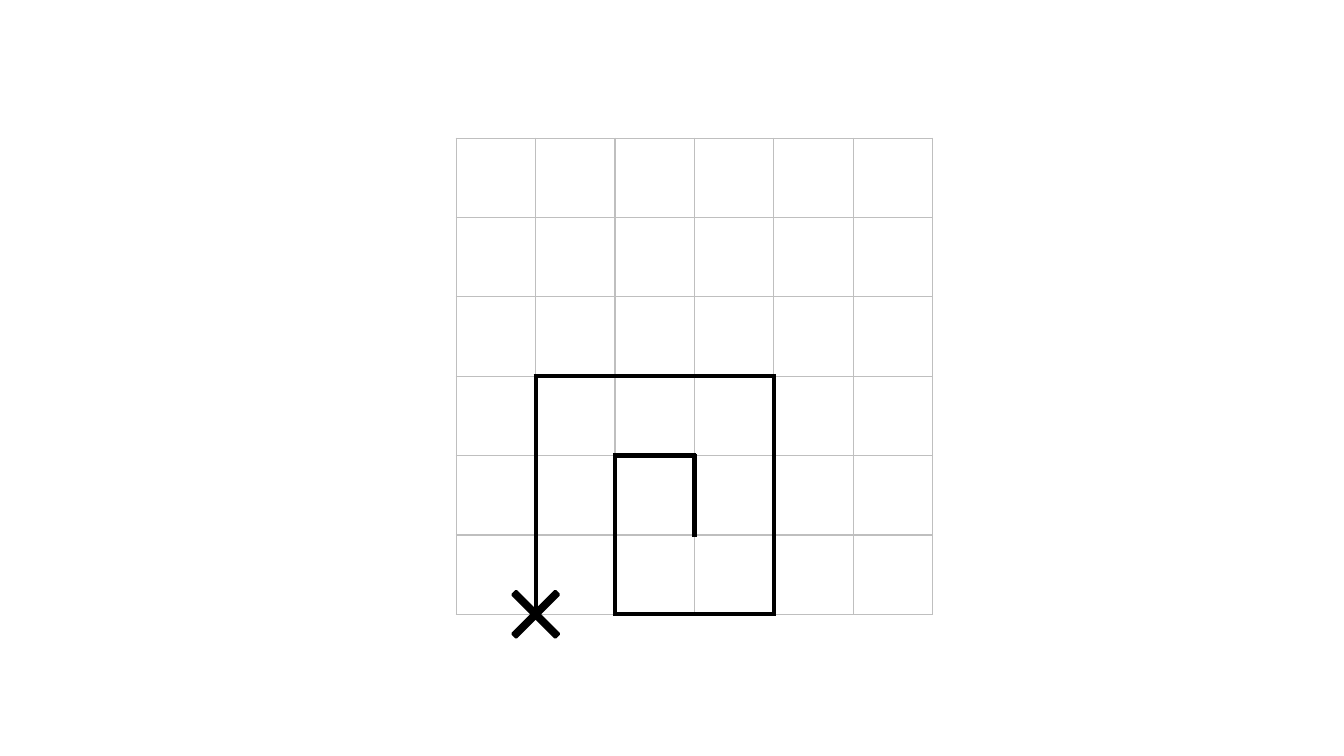
from itertools import pairwise
from lxml import etree
from pptx import Presentation
from pptx.dml.color import RGBColor
from pptx.enum import shapes
from pptx.oxml import ns
from pptx.util import Cm, Pt

BLACK = RGBColor(0, 0, 0)
GREY = RGBColor(0xBF, 0xBF, 0xBF)

ROUTE = [(1, 6), (1, 3), (4, 3), (4, 6), (2, 6), (2, 4), (3, 4), (3, 5)]
CELLS = 6
CELL = 2
LEFT, TOP = 11.5, 3.48
CROSS = 1.52
OVERHANG = 0.05


def grid_point(col, row):
    return LEFT + col * CELL, TOP + row * CELL


def add_border(cell, color, width):
    tcPr = cell._tc.get_or_add_tcPr()
    for side in ("lnL", "lnR", "lnT", "lnB"):
        ln = etree.SubElement(tcPr, ns.qn(f"a:{side}"), w=str(width))
        fill = etree.SubElement(ln, ns.qn("a:solidFill"))
        etree.SubElement(fill, ns.qn("a:srgbClr"), val=str(color))


def add_grid(s):
    size = Cm(CELLS * CELL)
    table = s.shapes.add_table(CELLS, CELLS, Cm(LEFT), Cm(TOP), size, size).table
    table.first_row = table.horz_banding = False
    for cell in table.iter_cells():
        add_border(cell, GREY, Pt(1))
        cell.fill.background()


def add_cross(s, node):
    x, y = grid_point(*node)
    sp = s.shapes.add_shape(shapes.MSO_SHAPE.CROSS, Cm(x - CROSS / 2),
                            Cm(y - CROSS / 2), Cm(CROSS), Cm(CROSS))
    sp.adjustments[0] = 0.459
    sp.rotation = 45
    sp.shadow.inherit = False
    sp.fill.solid()
    sp.fill.fore_color.rgb = BLACK
    sp.line.color.rgb = BLACK
    sp.line.width = Pt(2)


def add_segment(s, start, end):
    (x1, y1), (x2, y2) = sorted([grid_point(*start), grid_point(*end)])
    dx, dy = (OVERHANG, 0) if y1 == y2 else (0, OVERHANG)
    line = s.shapes.add_connector(shapes.MSO_CONNECTOR.STRAIGHT, Cm(x1 - dx),
                                  Cm(y1 - dy), Cm(x2 + dx), Cm(y2 + dy))
    line.line.color.rgb = BLACK
    line.line.width = Pt(3)
    etree.SubElement(line._element.spPr, ns.qn("a:effectLst"))


prs = Presentation()
prs.slide_width, prs.slide_height = Cm(33.87), Cm(19.05)
s = prs.slides.add_slide(prs.slide_layouts[6])

add_grid(s)
add_cross(s, ROUTE[0])
for start, end in pairwise(ROUTE):
    add_segment(s, start, end)

prs.save("out.pptx")
